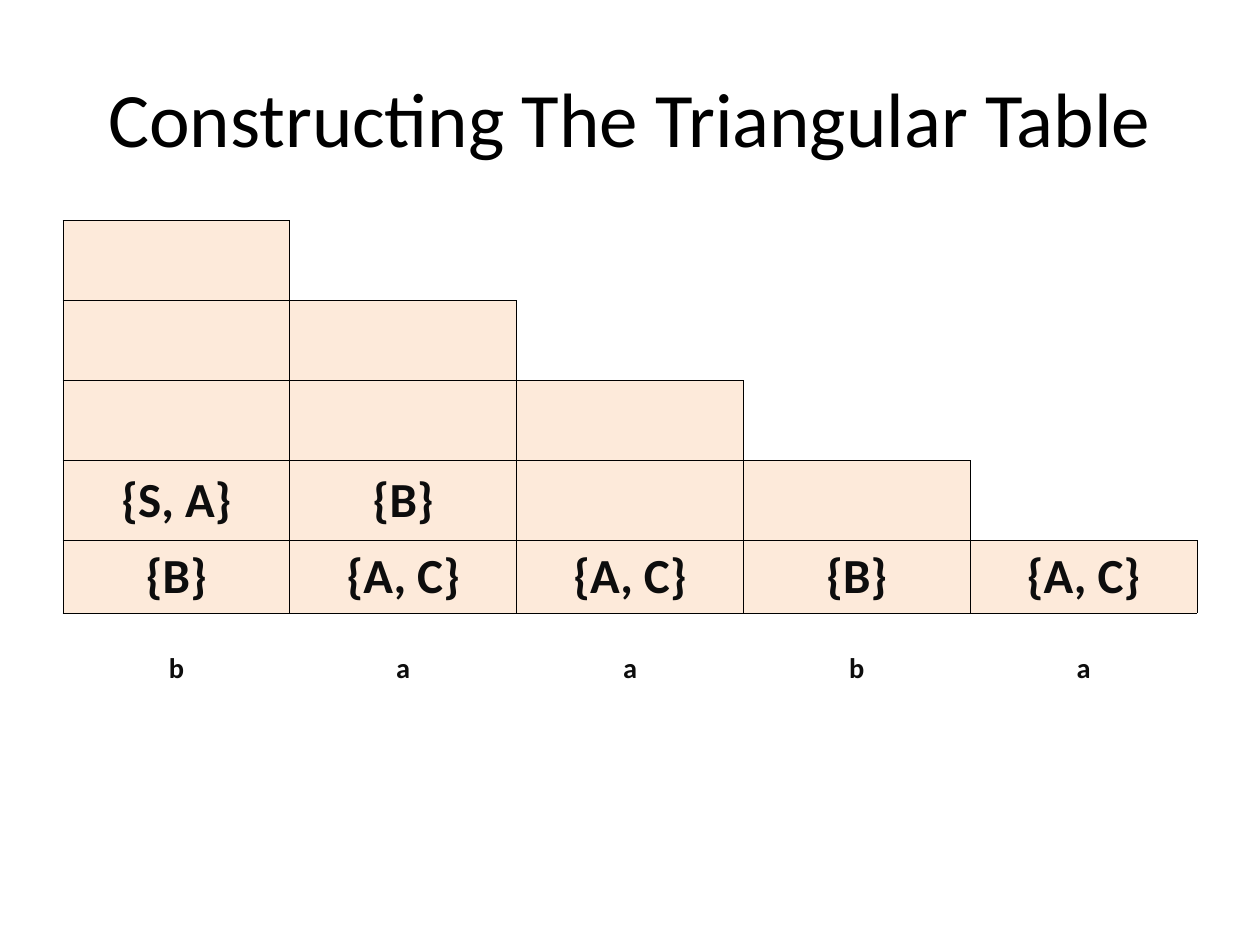
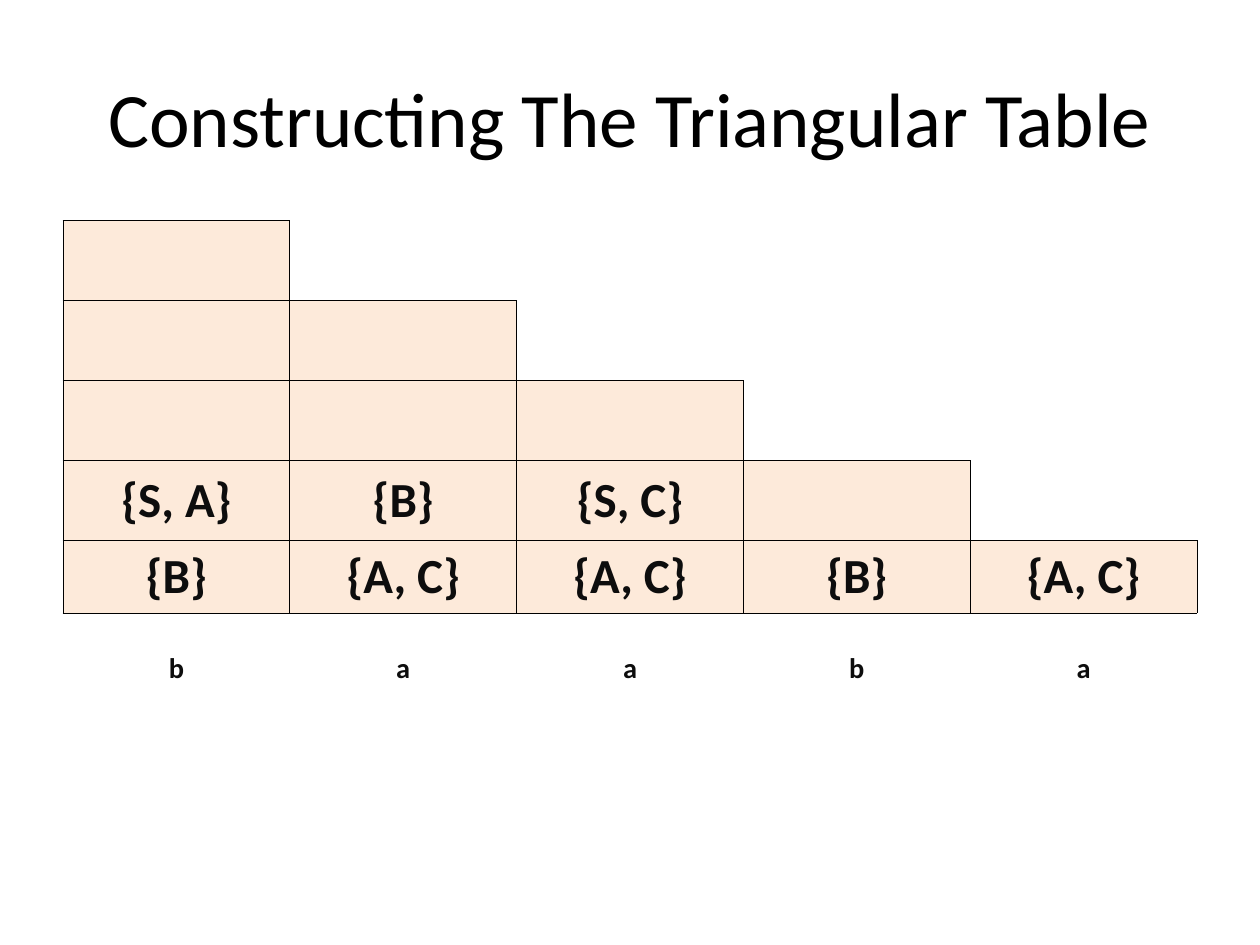
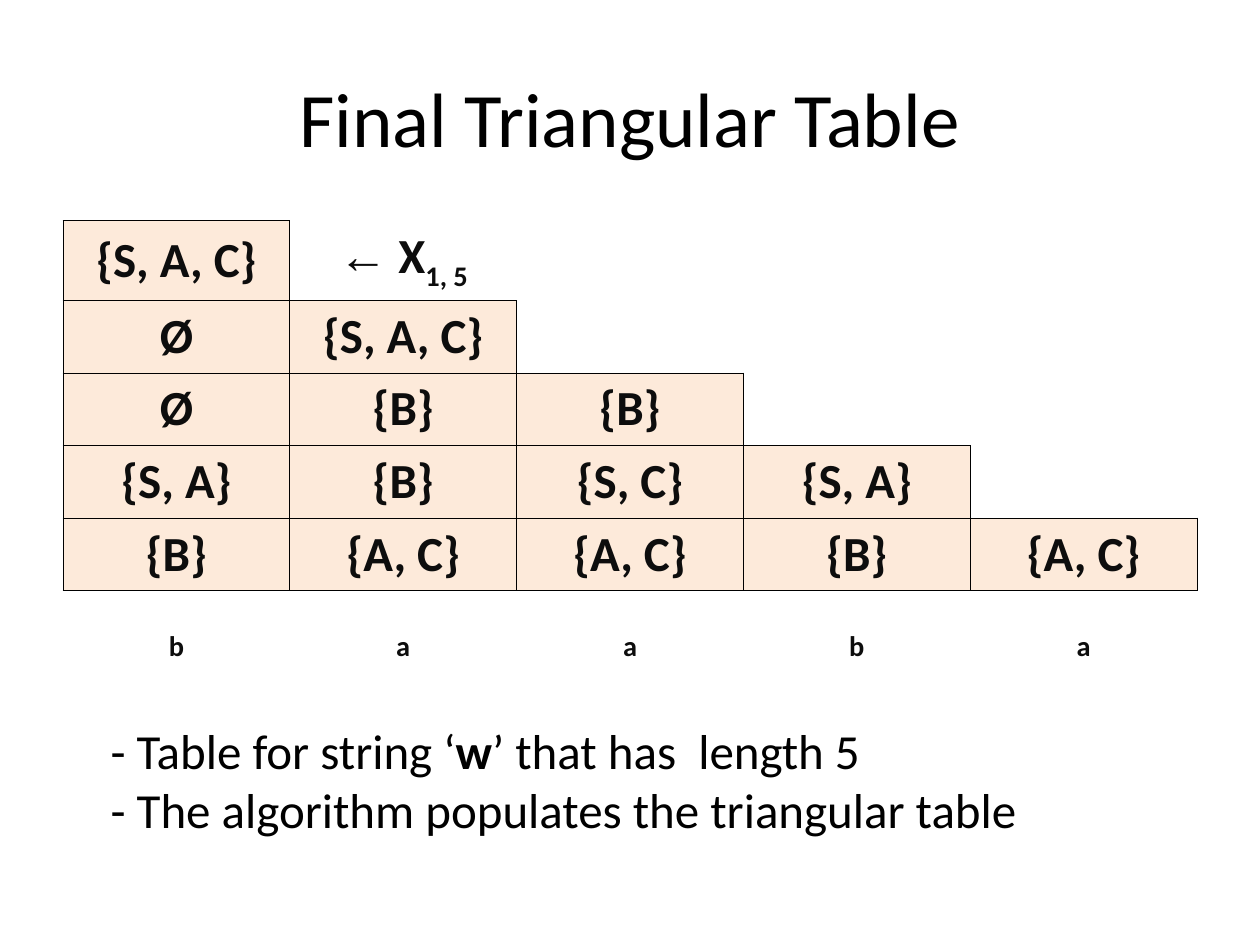
from collections import namedtuple

from lxml import etree
from pptx import Presentation
from pptx import util as u
from pptx.dml.color import RGBColor
from pptx.enum import text
from pptx.oxml.ns import qn

# Shared measures: 200 px to the inch
PX = 4572
SLIDE_WIDTH, SLIDE_HEIGHT = 2000, 1500
TITLE_BOX = (100, 60, 1800, 250)
TABLE_LEFT, TABLE_TOP = 100, 350
COLUMN_WIDTH = 360
TALL_ROW, SHORT_ROW = 127, 115

# Shared style
BLACK = RGBColor(0x00, 0x00, 0x00)
INK = RGBColor(0x0D, 0x0D, 0x0D)
PEACH = RGBColor(0xFD, 0xEA, 0xDA)
FONT = "Calibri"
TITLE_SIZE, BODY_SIZE = 44, 28
BORDER_WIDTH = u.Pt(0.45)

# Table content: row n of the staircase has n + 1 filled cells
WORD = "baaba"
BOTTOM_ROW = ["{B}", "{A, C}", "{A, C}", "{B}", "{A, C}"]
FINAL_ROWS = [
    ["{S, A, C}"],
    ["Ø", "{S, A, C}"],
    ["Ø", "{B}", "{B}"],
    ["{S, A}", "{B}", "{S, C}", "{S, A}"],
    BOTTOM_ROW,
]

Span = namedtuple("Span", "text bold subscript font", defaults=(False, False, FONT))


def px(length):
    return u.Emu(length * PX)


def add_spans(paragraph, spans, size, color):
    for span in spans:
        run = paragraph.add_run()
        run.text = span.text
        run.font.name = span.font
        run.font.size = u.Pt(size)
        run.font.bold = span.bold
        run.font.color.rgb = color
        if span.subscript:
            run.font._element.set("baseline", "-25000")


def add_titled_slide(presentation, title):
    slide = presentation.slides.add_slide(presentation.slide_layouts[5])
    shape = slide.shapes.title
    shape.left, shape.top, shape.width, shape.height = map(px, TITLE_BOX)
    shape.text_frame.vertical_anchor = text.MSO_ANCHOR.MIDDLE
    paragraph = shape.text_frame.paragraphs[0]
    paragraph.alignment = text.PP_ALIGN.CENTER
    add_spans(paragraph, [Span(title)], TITLE_SIZE, BLACK)
    return slide


def set_borders(cell, drawn_sides):
    properties = cell._tc.get_or_add_tcPr()
    for side in "LRTB":
        line = etree.SubElement(properties, qn(f"a:ln{side}"), w=str(BORDER_WIDTH))
        if side in drawn_sides:
            fill = etree.SubElement(line, qn("a:solidFill"))
            etree.SubElement(fill, qn("a:srgbClr"), val=str(BLACK))
        else:
            etree.SubElement(line, qn("a:noFill"))


def write_cell(cell, spans):
    cell.vertical_anchor = text.MSO_ANCHOR.MIDDLE
    paragraph = cell.text_frame.paragraphs[0]
    paragraph.alignment = text.PP_ALIGN.CENTER
    add_spans(paragraph, spans, BODY_SIZE, INK)


def add_triangular_table(slide, set_rows, row_heights):
    """Draw the staircase of sets with the letters of the word below it."""
    count = len(WORD)
    heights = row_heights + [TALL_ROW]
    frame = slide.shapes.add_table(
        count + 1, count, px(TABLE_LEFT), px(TABLE_TOP),
        px(COLUMN_WIDTH * count), px(sum(heights)))
    table = frame.table
    table.first_row = table.horz_banding = False
    for column in table.columns:
        column.width = px(COLUMN_WIDTH)
    for row, height in zip(table.rows, heights):
        row.height = px(height)

    def in_staircase(row, column):
        return 0 <= column <= row < count

    # Every edge that touches a filled cell is drawn
    for row in range(count + 1):
        for column in range(count):
            cell = table.cell(row, column)
            filled = in_staircase(row, column)
            neighbours = {"L": (row, column - 1), "R": (row, column + 1),
                          "T": (row - 1, column), "B": (row + 1, column)}
            set_borders(cell, [side for side, place in neighbours.items()
                               if filled or in_staircase(*place)])
            if filled:
                cell.fill.solid()
                cell.fill.fore_color.rgb = PEACH
            else:
                cell.fill.background()

    for row, sets in enumerate(set_rows):
        for column, label in enumerate(sets):
            write_cell(table.cell(row, column), [Span(label, bold=True)])
    for column, letter in enumerate(WORD):
        write_cell(table.cell(count, column), [Span(letter, bold=True, subscript=True)])
    return table


def add_notes_box(slide, box, lines):
    shape = slide.shapes.add_textbox(*map(px, box))
    frame = shape.text_frame
    frame.word_wrap = False
    frame.auto_size = text.MSO_AUTO_SIZE.SHAPE_TO_FIT_TEXT
    for index, spans in enumerate(lines):
        paragraph = frame.add_paragraph() if index else frame.paragraphs[0]
        add_spans(paragraph, spans, BODY_SIZE, BLACK)


def main():
    presentation = Presentation()
    presentation.slide_width = px(SLIDE_WIDTH)
    presentation.slide_height = px(SLIDE_HEIGHT)

    # Second row from the bottom, filled in step by step
    for known in (2, 3):
        slide = add_titled_slide(presentation, "Constructing The Triangular Table")
        set_rows = [[], [], [], FINAL_ROWS[3][:known], BOTTOM_ROW]
        add_triangular_table(slide, set_rows, [TALL_ROW] * 4 + [SHORT_ROW])

    # Finished table
    slide = add_titled_slide(presentation, "Final Triangular Table")
    table = add_triangular_table(slide, FINAL_ROWS, [TALL_ROW] + [SHORT_ROW] * 4)
    write_cell(table.cell(0, 1), [
        Span("←", bold=True, font="Arial"),
        Span(" X", bold=True),
        Span("1, 5", bold=True, subscript=True),
    ])
    add_notes_box(slide, (156, 1134, 1480, 208), [
        [Span("- Table for string ‘"), Span("w", bold=True), Span("’ that has  length 5")],
        [Span("- The algorithm populates the triangular table")],
    ])

    presentation.save("out.pptx")


if __name__ == "__main__":
    main()
